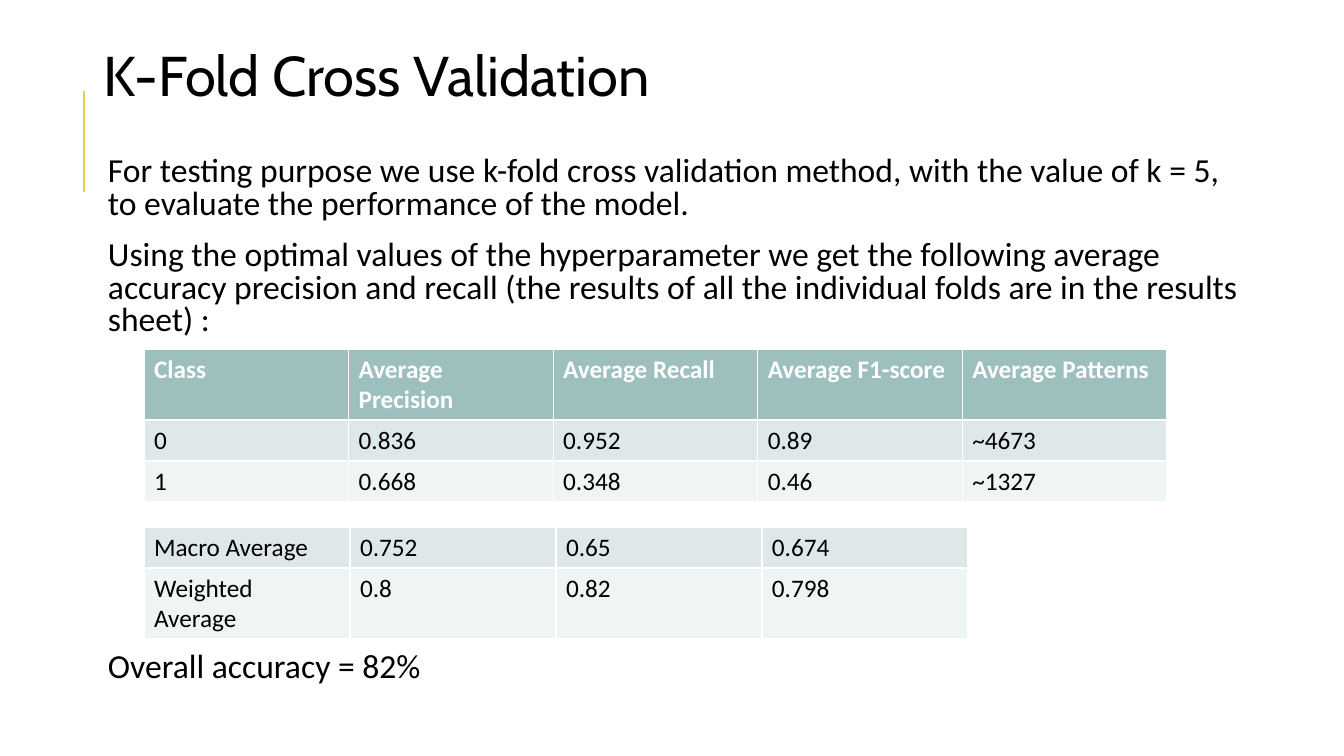
"""Build the K-fold cross validation slide with its two result tables."""
from lxml.etree import SubElement
from pptx import Presentation
from pptx.dml.color import RGBColor
from pptx.enum.shapes import MSO_CONNECTOR
from pptx.enum.text import MSO_ANCHOR, MSO_AUTO_SIZE, PP_ALIGN
from pptx.oxml.ns import qn
from pptx.util import Pt

TITLE = "K-Fold Cross Validation"
INTRODUCTION = [
    "For testing purpose we use k-fold cross validation method, with the value of k = 5, "
    "to evaluate the performance of the model.",
    "Using the optimal values of the hyperparameter we get the following average accuracy "
    "precision and recall (the results of all the individual folds are in the results sheet) :",
]
CONCLUSION = ["Overall accuracy = 82%"]
CLASS_ROWS = [
    ("Class", "Average Precision", "Average Recall", "Average F1-score", "Average Patterns"),
    ("0", "0.836", "0.952", "0.89", "~4673"),
    ("1", "0.668", "0.348", "0.46", "~1327"),
]
AVERAGE_ROWS = [
    ("Macro Average", "0.752", "0.65", "0.674"),
    ("Weighted Average", "0.8", "0.82", "0.798"),
]
COLORS = {"text": "000000", "header text": "FFFFFF", "header": "9DBFBE",
          "odd band": "DFE8E8", "even band": "EFF4F4", "accent": "E3CC5A"}
FORMATS = {
    "title": {"size": Pt(40), "name": "Cabin", "bold": False},
    "body": {"size": Pt(24), "name": "Calibri", "bold": False},
    "cell": {"size": Pt(18), "name": "Calibri", "bold": False},
    "header": {"size": Pt(18), "name": "Calibri", "bold": True},
}
PARAGRAPH_FORMAT = {"line_spacing": 0.8, "space_before": Pt(12), "space_after": Pt(2)}


def px(length):
    return round(length * 914400 / 100.8)


def color(name):
    return RGBColor.from_string(COLORS[name])


def set_font(font, style, color_name="text"):
    for attribute, value in FORMATS[style].items():
        setattr(font, attribute, value)
    font.color.rgb = color(color_name)


def add_body(slide, paragraphs, top, height):
    frame = slide.shapes.add_textbox(px(93), px(top), px(1159), px(height)).text_frame
    insets = {"margin_left": 15, "margin_top": 5, "margin_right": 5, "margin_bottom": 5}
    for attribute, value in insets.items():
        setattr(frame, attribute, px(value))
    frame.word_wrap = True
    frame.text = "\n".join(paragraphs)
    for paragraph in frame.paragraphs:
        for attribute, value in PARAGRAPH_FORMAT.items():
            setattr(paragraph, attribute, value)
        set_font(paragraph.runs[0].font, "body")


def add_results(slide, rows, top, width, heights, has_header):
    count = len(rows[0])
    table = slide.shapes.add_table(
        len(rows), count, px(144), px(top), px(width), px(sum(heights))).table
    table.first_row = has_header
    for column in table.columns:
        column.width = px(width / count)
    for index, (values, height) in enumerate(zip(rows, heights)):
        table.rows[index].height = px(height)
        is_header = has_header and index == 0
        band = ("odd band", "even band")[(index - has_header) % 2]
        for cell, value in zip(table.rows[index].cells, values):
            cell.text = value
            cell.fill.solid()
            cell.fill.fore_color.rgb = color("header" if is_header else band)
            set_font(cell.text_frame.paragraphs[0].runs[0].font,
                     "header" if is_header else "cell",
                     "header text" if is_header else "text")


presentation = Presentation()
presentation.slide_width, presentation.slide_height = px(1344), px(756)
slide = presentation.slides.add_slide(presentation.slide_layouts[5])

title = slide.shapes.title
title.left, title.top, title.width, title.height = map(px, (93, 35, 1089, 78))
title.text_frame.text = TITLE
title.text_frame.auto_size = MSO_AUTO_SIZE.NONE
title.text_frame.vertical_anchor = MSO_ANCHOR.TOP
title_paragraph = title.text_frame.paragraphs[0]
title_paragraph.alignment = PP_ALIGN.LEFT
set_font(title_paragraph.runs[0].font, "title")

accent = slide.shapes.add_connector(MSO_CONNECTOR.STRAIGHT, px(84), px(192), px(84), px(91))
accent.line.color.rgb = color("accent")
accent.line.width = Pt(1.5)
SubElement(accent._element.spPr, qn("a:effectLst"))

add_body(slide, INTRODUCTION, 152, 190)
add_results(slide, CLASS_ROWS, 349, 1023, (71, 41, 41), True)
add_results(slide, AVERAGE_ROWS, 527, 824, (41, 71), False)
add_body(slide, CONCLUSION, 648, 44)

presentation.save("out.pptx")
